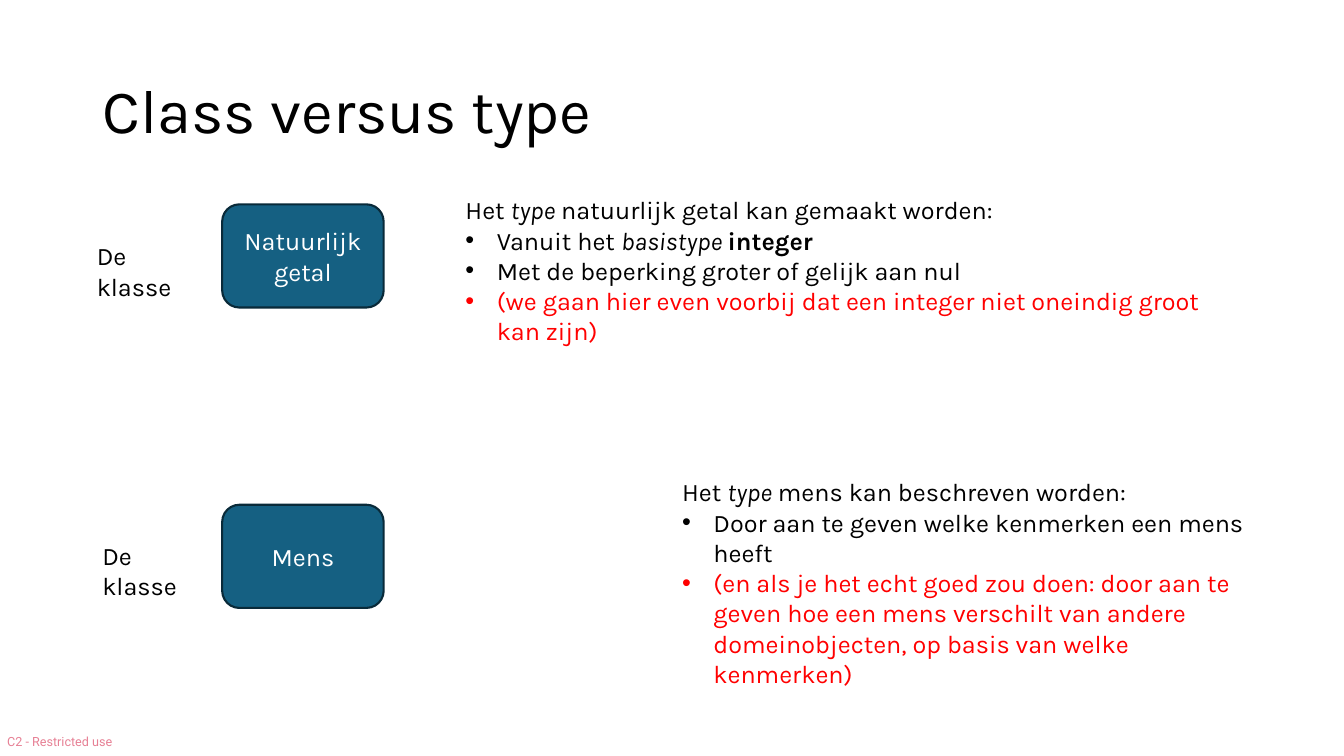
from pptx import Presentation
from pptx.dml.color import RGBColor
from pptx.enum.shapes import MSO_SHAPE as Shape
from pptx.enum.text import MSO_ANCHOR as Anchor, PP_ALIGN as Align
from pptx.oxml.ns import qn
from pptx.util import Cm, Pt
from lxml.etree import SubElement

BLACK = RGBColor(0x00, 0x00, 0x00)
WHITE = RGBColor(0xFF, 0xFF, 0xFF)
RED = RGBColor(0xFF, 0x00, 0x00)
CLASS_FILL = RGBColor(0x15, 0x60, 0x82)
CLASS_LINE = RGBColor(0x09, 0x2A, 0x39)
LABEL_RED = RGBColor(0xCF, 0x02, 0x2B)
BODY = {"name": "Karla", "size": Pt(18)}


def add_run(paragraph, text, color, **font_format):
    run = paragraph.add_run()
    run.text = text
    run.font.color.rgb = color
    for key, value in {**BODY, **font_format}.items():
        setattr(run.font, key, value)
    return run


def add_text_frame(left, top, width, height):
    frame = slide.shapes.add_textbox(Cm(left), Cm(top), Cm(width), Cm(height)).text_frame
    frame.word_wrap = True
    return frame


prs = Presentation()
prs.slide_width, prs.slide_height = Cm(33.87), Cm(19.05)
slide = prs.slides.add_slide(prs.slide_layouts[5])

# Title
title = slide.shapes.title
title.left, title.top, title.width, title.height = Cm(2.33), Cm(1.01), Cm(29.21), Cm(3.68)
title.text_frame.vertical_anchor = Anchor.MIDDLE
heading = title.text_frame.paragraphs[0]
heading.alignment = Align.LEFT
heading.line_spacing = 0.9
add_run(heading, "Class versus type", BLACK, size=Pt(44))

# Classes with their label
for class_name, class_top, label_left, label_top in [
    ("Natuurlijk getal", 5.15, 2.19, 5.94),
    ("Mens", 12.72, 2.33, 13.49),
]:
    class_box = slide.shapes.add_shape(
        Shape.ROUNDED_RECTANGLE, Cm(5.6), Cm(class_top), Cm(4.07), Cm(2.6))
    class_box.shadow.inherit = False
    class_box.fill.solid()
    class_box.fill.fore_color.rgb = CLASS_FILL
    class_box.line.color.rgb = CLASS_LINE
    class_box.line.width = Pt(1.5)
    class_box.text_frame.vertical_anchor = Anchor.MIDDLE
    name_line = class_box.text_frame.paragraphs[0]
    name_line.alignment = Align.CENTER
    add_run(name_line, class_name, WHITE)

    label = add_text_frame(label_left, label_top, 3.2, 1.02)
    add_run(label.paragraphs[0], "De klasse", BLACK)

# Descriptions of the types: an opening line, then bullets
ITALIC, BOLD = {"italic": True}, {"bold": True}
descriptions = [
    ((11.48, 4.78, 20.04, 3.33), [
        (BLACK, [("Het ", {}), ("type", ITALIC), (" natuurlijk getal kan gemaakt worden:", {})]),
        (BLACK, [("Vanuit het ", {}), ("basistype ", ITALIC), ("integer", BOLD)]),
        (BLACK, [("Met de beperking groter of gelijk aan nul", {})]),
        (RED, [("(we gaan hier even voorbij dat een integer niet oneindig groot kan zijn)", {})]),
    ]),
    ((16.94, 11.89, 15.24, 4.88), [
        (BLACK, [("Het ", {}), ("type", ITALIC), (" mens kan beschreven worden:", {})]),
        (BLACK, [("Door aan te geven welke kenmerken een mens heeft", {})]),
        (RED, [("(en als je het echt goed zou doen: door aan te geven hoe een mens verschilt "
                "van andere domeinobjecten, op basis van welke kenmerken)", {})]),
    ]),
]
for place, lines in descriptions:
    description = add_text_frame(*place)
    for index, (color, parts) in enumerate(lines):
        line = description.paragraphs[0] if index == 0 else description.add_paragraph()
        if index:
            props = line._p.get_or_add_pPr()
            props.set("marL", str(Cm(0.79)))
            props.set("indent", str(-Cm(0.79)))
            SubElement(props, qn("a:buFont"), typeface="Arial")
            SubElement(props, qn("a:buChar"), char="•")
        for text, style in parts:
            add_run(line, text, color, **style)

# Half-transparent classification label
classification = add_text_frame(0.18, 18.49, 2.87, 0.38)
classification.word_wrap = False
for side in ("left", "top", "right", "bottom"):
    setattr(classification, f"margin_{side}", 0)
mark = add_run(classification.paragraphs[0], "C2 - Restricted use", LABEL_RED,
               name="Roboto", size=Pt(9))
SubElement(mark._r.find(".//" + qn("a:srgbClr")), qn("a:alpha"), val="50000")

prs.save("out.pptx")
